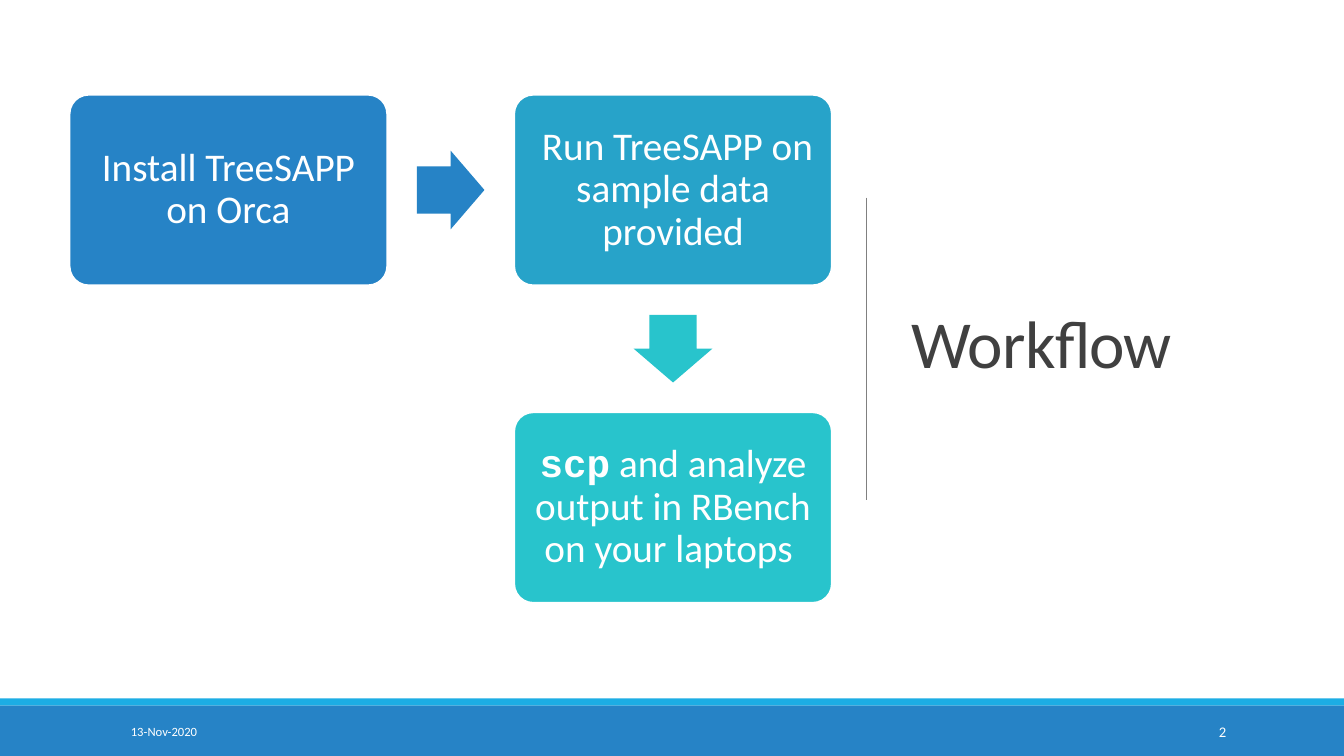
from dataclasses import dataclass

from lxml.etree import SubElement
from pptx import Presentation
from pptx.dml.color import RGBColor
from pptx.enum.shapes import MSO_CONNECTOR as Connector, MSO_SHAPE as Shape
from pptx.enum.text import MSO_ANCHOR as Anchor, PP_ALIGN as Align
from pptx.oxml.ns import qn
from pptx.util import Inches, Pt


@dataclass
class Theme:
    blue: str = "2683C6"
    ocean: str = "27A3C9"
    teal: str = "28C4CC"
    sky: str = "1CADE4"
    white: str = "FFFFFF"
    ink: str = "404040"
    rule: str = "808080"
    font: str = "Calibri"
    code_font: str = "Courier New"
    title_size: float = 48
    step_size: float = 28
    number_size: float = 10.5
    date_size: float = 9


theme = Theme()


def add_block(kind, left, top, width, height, color):
    block = slide.shapes.add_shape(
        kind, Inches(left), Inches(top), Inches(width), Inches(height))
    block.shadow.inherit = False
    block.fill.solid()
    block.fill.fore_color.rgb = RGBColor.from_string(color)
    block.line.fill.background()
    return block


def add_run(paragraph, text, size, color, font=theme.font, bold=False):
    run = paragraph.add_run()
    run.text = text
    run.font.name = font
    run.font.size = Pt(size)
    run.font.bold = bold
    run.font.color.rgb = RGBColor.from_string(color)
    return run


presentation = Presentation()
slide_width, slide_height = 13.33, 7.5
presentation.slide_width = Inches(slide_width)
presentation.slide_height = Inches(slide_height)
slide = presentation.slides.add_slide(presentation.slide_layouts[5])

# Title on the right
title = slide.shapes.title
title.left, title.top = Inches(8.94), Inches(0.69)
title.width, title.height = Inches(3.69), Inches(5.53)
title.text_frame.word_wrap = True
title.text_frame.vertical_anchor = Anchor.MIDDLE
paragraph = title.text_frame.paragraphs[0]
paragraph.alignment = Align.LEFT
paragraph.line_spacing = 0.85
run = add_run(paragraph, "Workflow", theme.title_size, theme.ink)
run.font._element.set("spc", "-50")

# Vertical rule beside the title
rule = slide.shapes.add_connector(
    Connector.STRAIGHT, Inches(8.59), Inches(1.96), Inches(8.59), Inches(4.96))
rule.line.color.rgb = RGBColor.from_string(theme.rule)
rule.line.width = Pt(0.5)
SubElement(rule._element.spPr, qn("a:effectLst"))

# Footer bands
band_top, stripe_height = 7, 0.07
add_block(Shape.RECTANGLE, 0, band_top - stripe_height, slide_width,
          stripe_height, theme.sky)
add_block(Shape.RECTANGLE, 0, band_top, slide_width,
          slide_height - band_top, theme.blue)

# Footer date and slide number
for text, left, width, align, size in [
    ("13-Nov-2020", 1.2, 2.7, Align.LEFT, theme.date_size),
    ("2", 10.83, 1.43, Align.RIGHT, theme.number_size),
]:
    footer = slide.shapes.add_textbox(
        Inches(left), Inches(7.06), Inches(width), Inches(0.4))
    footer.text_frame.word_wrap = True
    footer.text_frame.vertical_anchor = Anchor.MIDDLE
    paragraph = footer.text_frame.paragraphs[0]
    paragraph.alignment = align
    paragraph.space_after = Pt(6)
    add_run(paragraph, text, size, theme.white)

# Workflow steps on a grid: column, row, colour, runs of (text, font, bold)
grid_left, grid_top = 0.69, 0.94
column_step, row_step = 4.41, 3.15
step_width, step_height = 3.15, 1.89
steps = [
    (0, 0, theme.blue, [("Install TreeSAPP on Orca", theme.font, False)]),
    (1, 0, theme.ocean,
     [(" Run TreeSAPP on sample data provided", theme.font, False)]),
    (1, 1, theme.teal,
     [("scp", theme.code_font, True),
      (" and analyze output in RBench on your laptops ", theme.font, False)]),
]
for column, row, color, runs in steps:
    step = add_block(Shape.ROUNDED_RECTANGLE, grid_left + column * column_step,
                     grid_top + row * row_step, step_width, step_height, color)
    step.adjustments[0] = 0.1
    step.line.color.rgb = RGBColor.from_string(theme.white)
    step.line.width = Pt(1.25)
    frame = step.text_frame
    frame.word_wrap = True
    frame.vertical_anchor = Anchor.MIDDLE
    frame.margin_left = frame.margin_right = Inches(0.12)
    frame.margin_top = frame.margin_bottom = Inches(0.12)
    paragraph = frame.paragraphs[0]
    paragraph.alignment = Align.CENTER
    paragraph.line_spacing = 0.9
    for text, font, bold in runs:
        add_run(paragraph, text, theme.step_size, theme.white, font, bold)

# Arrows halfway between consecutive steps
arrow_length, arrow_breadth = 0.67, 0.78
for (column, row, color, _), (next_column, next_row, next_color, _) in zip(steps, steps[1:]):
    center_x = grid_left + (column + next_column) / 2 * column_step + step_width / 2
    center_y = grid_top + (row + next_row) / 2 * row_step + step_height / 2
    downward = next_row > row
    arrow = add_block(Shape.RIGHT_ARROW, center_x - arrow_length / 2,
                      center_y - arrow_breadth / 2, arrow_length, arrow_breadth,
                      next_color if downward else color)
    arrow.adjustments[0], arrow.adjustments[1] = 0.6, 0.5
    arrow.rotation = 90 if downward else 0

presentation.save("out.pptx")
